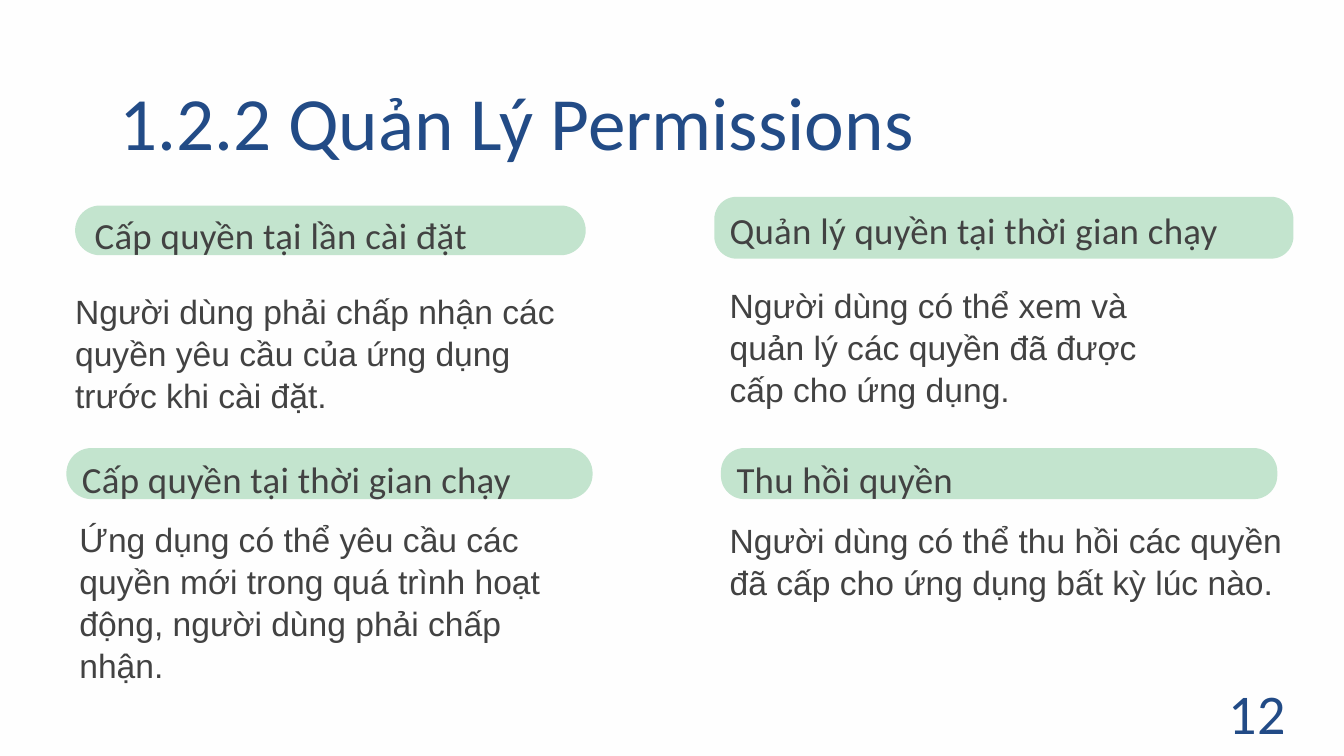
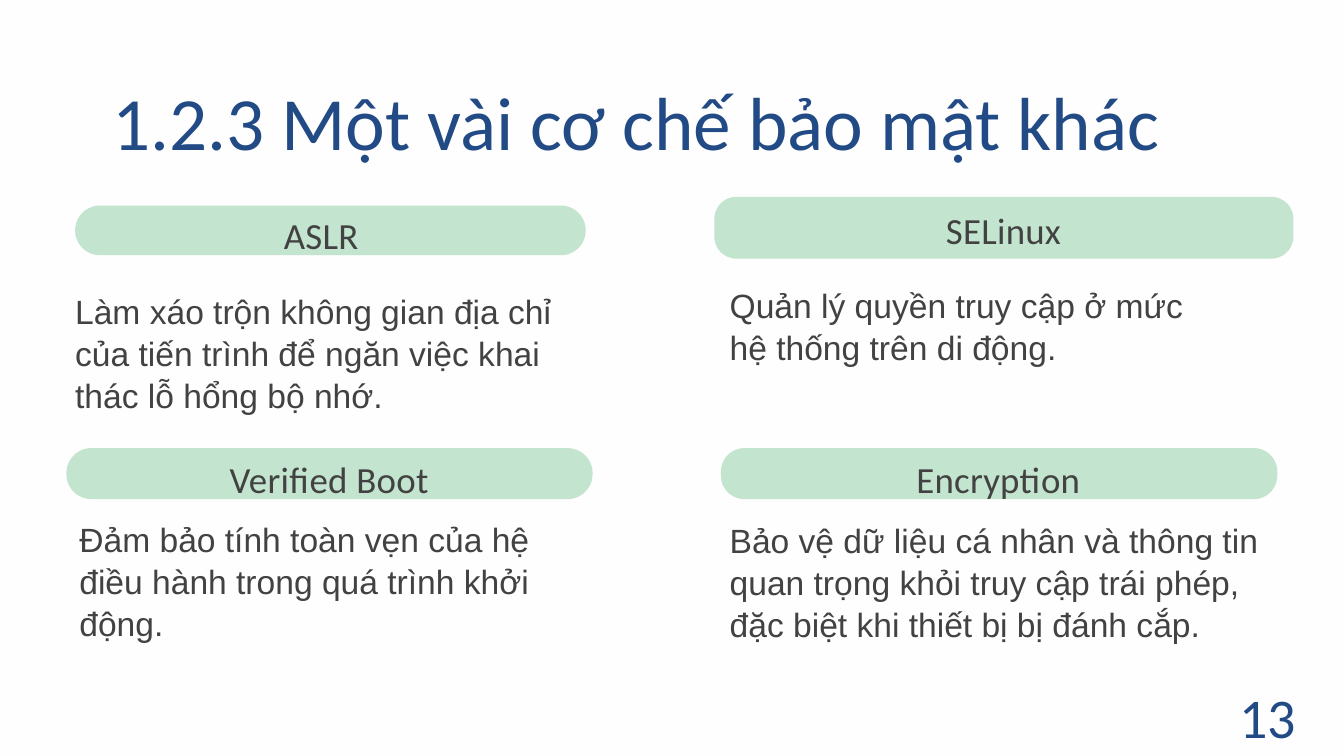
"""Build two slides on app permissions and other security mechanisms."""
from pptx import Presentation
from pptx.dml.color import RGBColor
from pptx.enum.shapes import MSO_SHAPE as Shape
from pptx.enum.text import MSO_ANCHOR as Anchor, MSO_AUTO_SIZE as AutoSize, PP_ALIGN as Align
from pptx.util import Cm, Pt

BACKGROUND = RGBColor(0xFE, 0xFE, 0xFE)
BLUE = RGBColor(0x22, 0x4B, 0x86)
GREEN = RGBColor(0xC3, 0xE4, 0xCE)
GREY = RGBColor(0x42, 0x42, 0x42)

TITLE_STYLE = ("Calibri", 80.6, 91.9, BLUE, 0)
LABEL_STYLE = ("Calibri", 39.5, 55.3, GREY, 30)
BODY_STYLE = ("Arial", 36, 45, GREY, 0)
NUMBER_STYLE = ("Calibri", 60, 84, BLUE, 0)

LABEL_HEIGHT = 1.85
LINE_HEIGHT = 1.56

# Each topic: pill box, pill corner ratio, label left/top/width, body left/top/width.
TOPICS = [
    ((2.84, 7.77, 19.3, 1.88), 0.5, (3.58, 7.75, 17.45), (2.84, 10.92, 19.3)),
    ((27, 7.44, 21.89, 2.34), 0.36, (27.58, 7.57, 21.03), (27.58, 10.69, 17.7)),
    ((2.51, 16.94, 19.89, 1.93), 0.49, (3.1, 16.97, 18.69), (3, 19.56, 19.41)),
    ((27.25, 16.94, 21.03, 1.93), 0.46, (27.84, 16.97, 20.12), (27.58, 19.58, 21.03)),
]

# Each slide: title, title width, label alignment, number, number position,
# then label, body and body line count for every topic.
SLIDES = [
    ("1.2.2 Quản Lý Permissions", 33.4, Align.LEFT, "12", (46.43, 25.22), [
        ("Cấp quyền tại lần cài đặt",
         "Người dùng phải chấp nhận các quyền yêu cầu của ứng dụng trước khi cài đặt.", 3),
        ("Quản lý quyền tại thời gian chạy",
         "Người dùng có thể xem và quản lý các quyền đã được cấp cho ứng dụng.", 3),
        ("Cấp quyền tại thời gian chạy",
         "Ứng dụng có thể yêu cầu các quyền mới trong quá trình hoạt động, "
         "người dùng phải chấp nhận.", 4),
        ("Thu hồi quyền",
         "Người dùng có thể thu hồi các quyền đã cấp cho ứng dụng bất kỳ lúc nào.", 2),
    ]),
    ("1.2.3 Một vài cơ chế bảo mật khác", 42.44, Align.CENTER, "13", (46.84, 25.37), [
        ("ASLR ",
         "Làm xáo trộn không gian địa chỉ của tiến trình để ngăn việc khai thác "
         "lỗ hổng bộ nhớ.", 3),
        ("SELinux ",
         "Quản lý quyền truy cập ở mức hệ thống trên di động.", 2),
        ("Verified Boot",
         "Đảm bảo tính toàn vẹn của hệ điều hành trong quá trình khởi động.", 3),
        ("Encryption ",
         "Bảo vệ dữ liệu cá nhân và thông tin quan trọng khỏi truy cập trái phép, "
         "đặc biệt khi thiết bị bị đánh cắp.", 3),
    ]),
]


def write_text(shape, text, style, alignment):
    """Fill a shape with one paragraph in the given style."""
    font_name, size, line_spacing, color, letter_spacing = style
    frame = shape.text_frame
    frame.word_wrap = True
    frame.auto_size = AutoSize.NONE
    frame.vertical_anchor = Anchor.TOP
    frame.margin_left = frame.margin_top = frame.margin_right = frame.margin_bottom = 0
    paragraph = frame.paragraphs[0]
    paragraph.text = text
    paragraph.alignment = alignment
    paragraph.line_spacing = Pt(line_spacing)
    paragraph.font.name = font_name
    paragraph.font.size = Pt(size)
    paragraph.font.color.rgb = color
    if letter_spacing:
        paragraph.runs[0]._r.get_or_add_rPr().set("spc", str(letter_spacing))


def add_text(slide, box, text, style, alignment):
    """Add a text box given as left, top, width and height in centimetres."""
    write_text(slide.shapes.add_textbox(*map(Cm, box)), text, style, alignment)


presentation = Presentation()
presentation.slide_width = Cm(50.8)
presentation.slide_height = Cm(28.58)
master_fill = presentation.slide_master.background.fill
master_fill.solid()
master_fill.fore_color.rgb = BACKGROUND
title_only = presentation.slide_layouts[5]

for title_text, title_width, label_alignment, number, number_position, texts in SLIDES:
    slide = presentation.slides.add_slide(title_only)
    title = slide.shapes.title
    title.left, title.top, title.width, title.height = map(Cm, (2.84, 3, title_width, 3.28))
    write_text(title, title_text, TITLE_STYLE, Align.CENTER)

    for (pill_box, corner, label_place, body_place), (label, body, lines) in zip(TOPICS, texts):
        pill = slide.shapes.add_shape(Shape.ROUNDED_RECTANGLE, *map(Cm, pill_box))
        pill.adjustments[0] = corner
        pill.shadow.inherit = False
        pill.fill.solid()
        pill.fill.fore_color.rgb = GREEN
        pill.line.fill.background()
        add_text(slide, (*label_place, LABEL_HEIGHT), label, LABEL_STYLE, label_alignment)
        body_height = lines * LINE_HEIGHT + 0.18
        add_text(slide, (*body_place, body_height), body, BODY_STYLE, Align.LEFT)

    add_text(slide, (*number_position, 2.18, 2.9), number, NUMBER_STYLE, Align.CENTER)

presentation.save("out.pptx")
